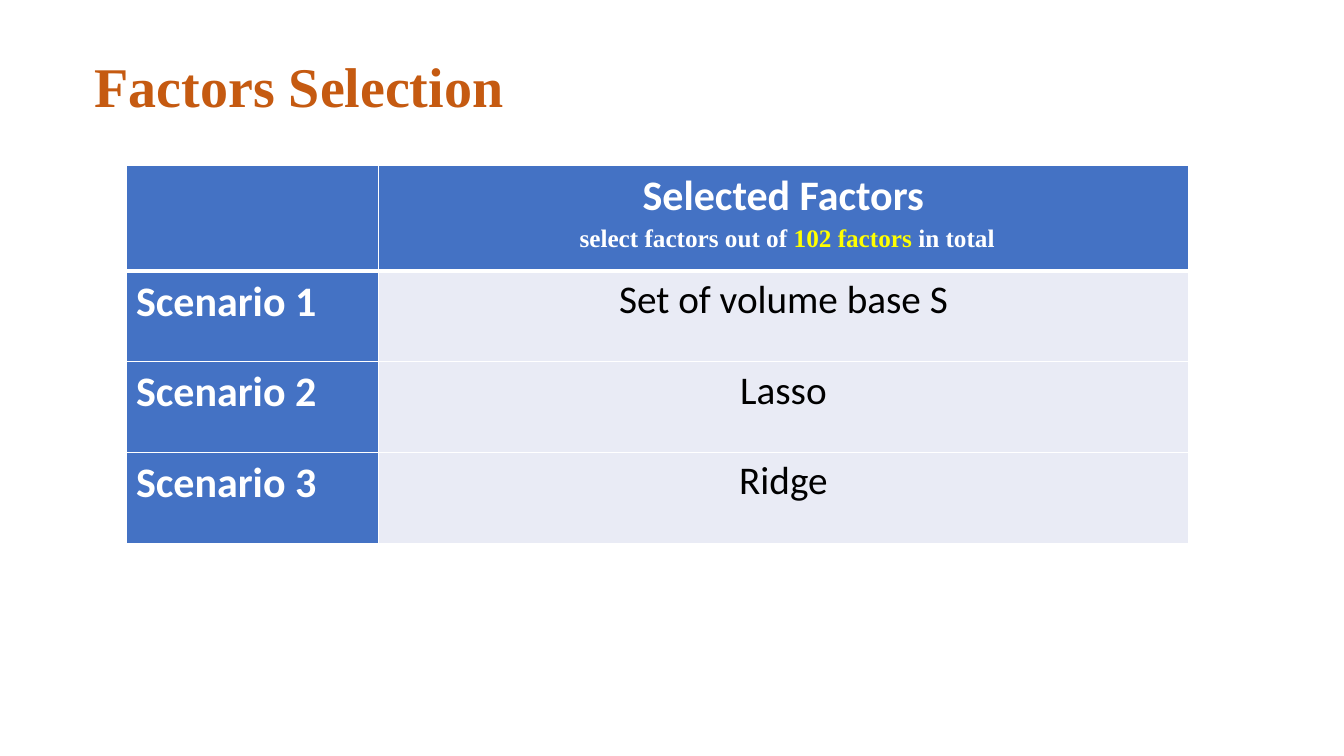
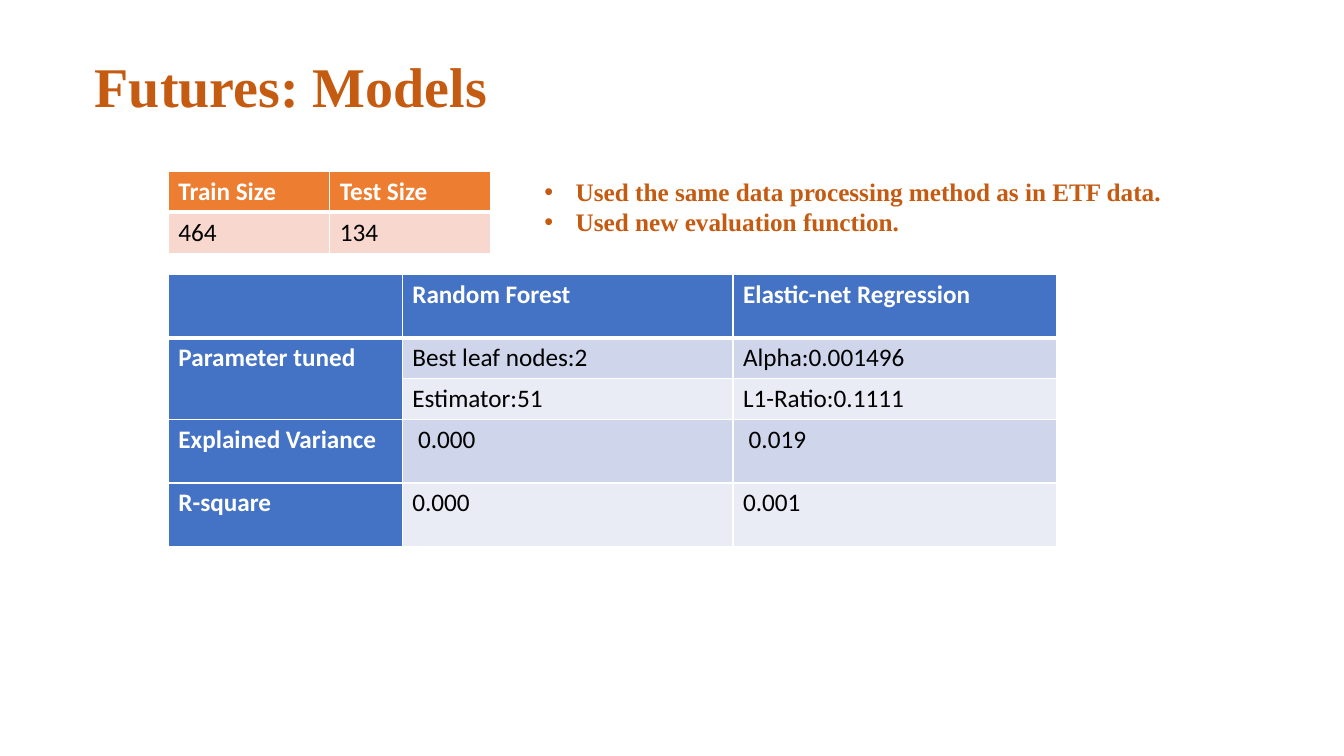
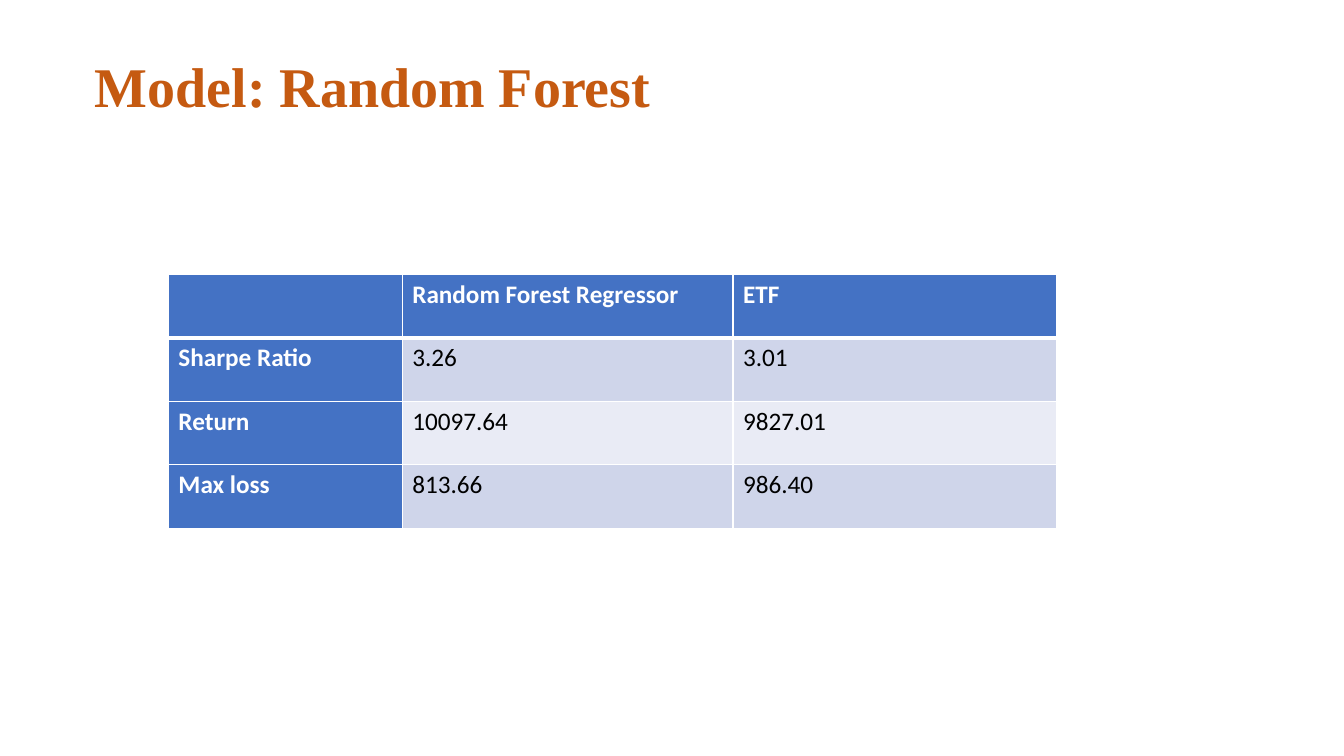
from lxml.etree import SubElement
from pptx import Presentation
from pptx.dml.color import RGBColor
from pptx.enum.text import MSO_ANCHOR, MSO_AUTO_SIZE, PP_ALIGN
from pptx.oxml.ns import qn
from pptx.util import Inches, Pt

COLORS = {
    "title": "C55A11",
    "blue": "4472C4",
    "blue_band": "CFD5EA",
    "blue_light": "E9EBF5",
    "orange": "ED7D31",
    "orange_band": "F8D7CE",
    "white": "FFFFFF",
    "black": "000000",
    "yellow": "FFFF00",
}
SERIF, SANS = "Times New Roman", "Calibri"
BLUE_BANDS = ["blue_band", "blue_light"]
TITLE_ONLY, TITLE_AND_BODY = 5, 1


def add_run(paragraph, text, size, color, font=SERIF, bold=True):
    run = paragraph.add_run()
    run.text = text
    run.font.size = Pt(size)
    run.font.name = font
    run.font.bold = bold
    run.font.color.rgb = RGBColor.from_string(COLORS[color])


def add_grid(slide, left, top, widths, heights, rows, header="blue", bands=BLUE_BANDS,
             head_size=18, body_size=18, row_heads=True, align=PP_ALIGN.LEFT):
    """Table with a header row, banded body rows and optional row headings."""
    table = slide.shapes.add_table(
        len(rows), len(widths), Inches(left), Inches(top),
        Inches(sum(widths)), Inches(sum(heights))).table
    for column, width in zip(table.columns, widths):
        column.width = Inches(width)
    for row, height in zip(table.rows, heights):
        row.height = Inches(height)
    for r, texts in enumerate(rows):
        for c, text in enumerate(texts):
            cell = table.cell(r, c)
            is_row_head = row_heads and c == 0
            is_head = r == 0 or is_row_head
            # White borders, thicker below the header
            properties = cell._tc.get_or_add_tcPr()
            for side in ("lnL", "lnR", "lnT", "lnB"):
                thick = (r, side) in ((0, "lnB"), (1, "lnT"))
                line = SubElement(properties, qn("a:" + side), w=str(Pt(3 if thick else 1)))
                fill = SubElement(line, qn("a:solidFill"))
                SubElement(fill, qn("a:srgbClr"), val=COLORS["white"])
            cell.fill.solid()
            cell.fill.fore_color.rgb = RGBColor.from_string(
                COLORS[header if is_head else bands[(r - 1) % len(bands)]])
            if text:
                paragraph = cell.text_frame.paragraphs[0]
                paragraph.alignment = PP_ALIGN.LEFT if is_row_head else align
                add_run(paragraph, text, head_size if is_head else body_size,
                        "white" if is_head else "black", SANS, is_head)
    return table


presentation = Presentation()
presentation.slide_width = Inches(13.33)
presentation.slide_height = Inches(7.5)

# Slides with their shared title style
slides = []
for title, layout in [("Factors Selection", TITLE_ONLY),
                      ("Futures: Models", TITLE_AND_BODY),
                      ("Model: Random Forest", TITLE_ONLY)]:
    slide = presentation.slides.add_slide(presentation.slide_layouts[layout])
    shape = slide.shapes.title
    shape.left, shape.top = Inches(0.84), Inches(0.46)
    shape.width, shape.height = Inches(10.7), Inches(0.77)
    shape.text_frame.auto_size = MSO_AUTO_SIZE.NONE
    shape.text_frame.vertical_anchor = MSO_ANCHOR.TOP
    paragraph = shape.text_frame.paragraphs[0]
    paragraph.alignment = PP_ALIGN.LEFT
    add_run(paragraph, title, 40, "title")
    slides.append(slide)
factors_slide, futures_slide, forest_slide = slides

# Factors Selection: scenarios
add_grid(factors_slide, 1.25, 1.64, [2.5, 8.04], [1.05, 0.9, 0.9, 0.9], [
    ["", "Selected Factors"],
    ["Scenario 1", "Set of volume base S"],
    ["Scenario 2", "Lasso"],
    ["Scenario 3", "Ridge"],
], bands=["blue_light"], head_size=30, body_size=28, align=PP_ALIGN.CENTER)

# Factors Selection: note inside the header
note = factors_slide.shapes.add_textbox(Inches(5.65), Inches(2.16), Inches(4.36), Inches(0.4))
note.text_frame.word_wrap = False
paragraph = note.text_frame.paragraphs[0]
for text, color in [("select factors out of ", "white"),
                    ("102 factors ", "yellow"),
                    ("in total", "white")]:
    add_run(paragraph, text, 18, color)

# Futures: data sizes
add_grid(futures_slide, 1.67, 1.7, [1.6, 1.6], [0.4, 0.4], [
    ["Train Size", "Test Size"],
    ["464", "134"],
], header="orange", bands=["orange_band"], row_heads=False)

# Futures: method notes
body = futures_slide.placeholders[1]
body.left, body.top = Inches(5.3), Inches(1.7)
body.width, body.height = Inches(6.62), Inches(0.71)
frame = body.text_frame
frame.auto_size = MSO_AUTO_SIZE.NONE
for index, text in enumerate(["Used the same data processing method as in ETF data.",
                              "Used new evaluation function."]):
    paragraph = frame.paragraphs[0] if index == 0 else frame.add_paragraph()
    paragraph.space_before = Pt(0)
    properties = paragraph._p.get_or_add_pPr()
    properties.set("marL", str(Inches(0.31)))
    properties.set("indent", str(-Inches(0.31)))
    SubElement(properties, qn("a:buFont"), typeface="Arial")
    SubElement(properties, qn("a:buChar"), char="•")
    add_run(paragraph, text, 18, "title")

# Futures: model results
model_widths = [2.32, 3.28, 3.21]
models = add_grid(futures_slide, 1.67, 2.72, model_widths, [0.63, 0.4, 0.4, 0.63, 0.63], [
    ["", "Random Forest", "Elastic-net Regression"],
    ["Parameter tuned", "Best leaf nodes:2", "Alpha:0.001496"],
    ["", "Estimator:51", "L1-Ratio:0.1111"],
    ["Explained Variance", " 0.000", " 0.019"],
    ["R-square", "0.000", "0.001"],
])
models.cell(1, 0).merge(models.cell(2, 0))

# Random Forest: performance
add_grid(forest_slide, 1.67, 2.72, model_widths, [0.63] * 4, [
    ["", "Random Forest Regressor", "ETF"],
    ["Sharpe Ratio", "3.26", "3.01"],
    ["Return", "10097.64", "9827.01"],
    ["Max loss", "813.66", "986.40"],
])

presentation.save("out.pptx")
